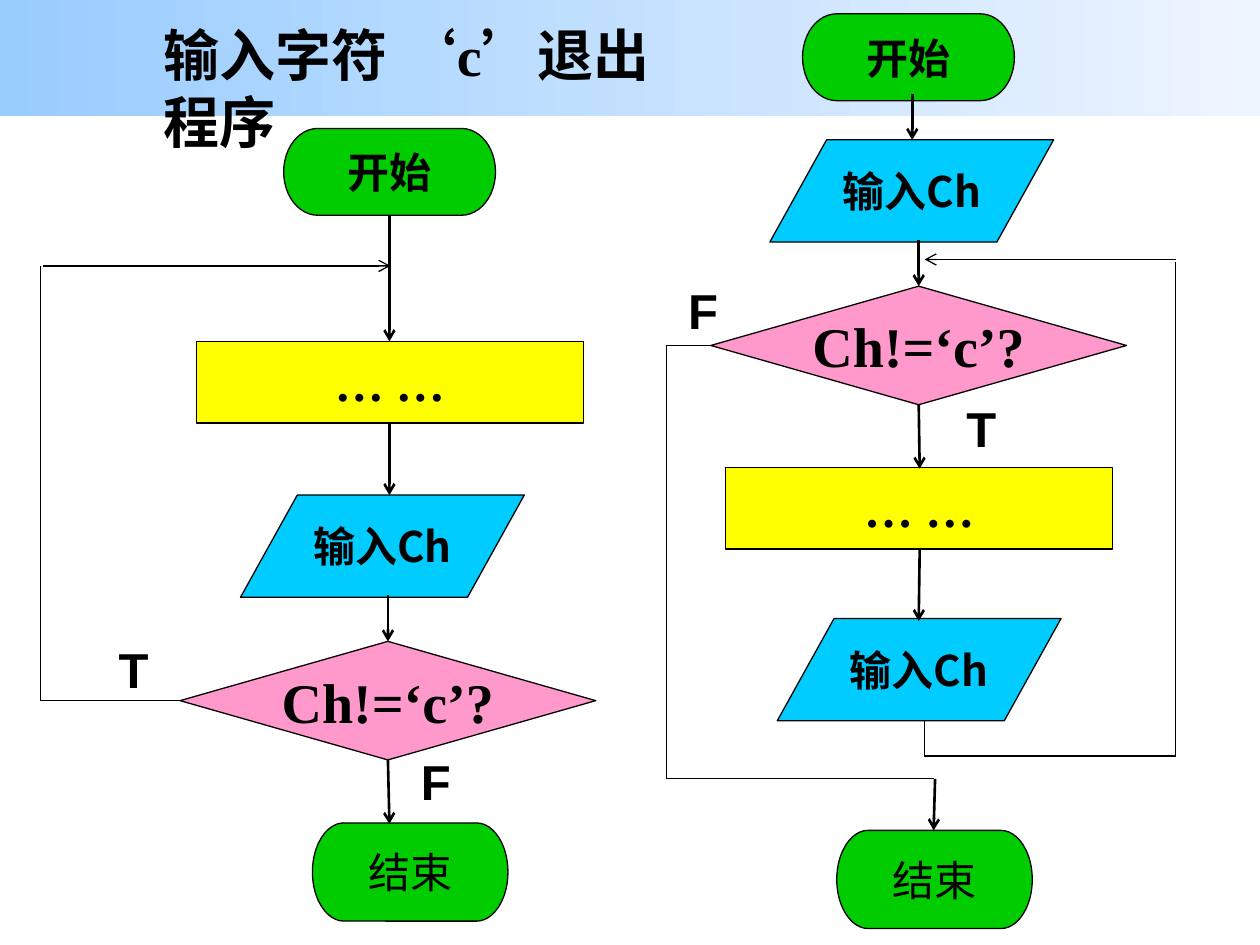
from lxml import etree
from pptx import Presentation
from pptx import util as u
from pptx.dml.color import RGBColor
from pptx.enum import shapes, text
from pptx.oxml.ns import qn

BLACK = RGBColor(0x00, 0x00, 0x00)
GREEN = RGBColor(0x00, 0xCC, 0x00)
CYAN = RGBColor(0x00, 0xCC, 0xFF)
PINK = RGBColor(0xFF, 0x99, 0xCC)
YELLOW = RGBColor(0xFF, 0xFF, 0x00)
BAND_LEFT = RGBColor(0x99, 0xCC, 0xFF)
BAND_RIGHT = RGBColor(0xEE, 0xF5, 0xFF)

CJK = "Noto Sans CJK SC"
SERIF = "Times New Roman"
SHAPE = shapes.MSO_SHAPE

# Node kinds: preset, width, height, fill, wording, font, size, bold
KINDS = {
    "start": (SHAPE.FLOWCHART_TERMINATOR, 4.27, 1.75, GREEN, "开始", CJK, 24, True),
    "input": (SHAPE.FLOWCHART_DATA, 5.72, 2.06, CYAN, "输入Ch", CJK, 24, True),
    "end": (SHAPE.FLOWCHART_TERMINATOR, 3.94, 1.98, GREEN, "结束", CJK, 24, False),
    "test": (SHAPE.FLOWCHART_DECISION, 8.38, 2.39, PINK, "Ch!=‘c’?", SERIF, 32, True),
    "work": (SHAPE.RECTANGLE, 7.8, 1.65, YELLOW, "… …", SERIF, 28, True),
}

# Each flowchart: nodes (kind, left, top), labels (wording, left, top),
# and lines (x1, y1, x2, y2), all in centimetres
FLOWCHARTS = [
    {   # Test after the loop body
        "nodes": [("start", 5.72, 2.59), ("work", 3.96, 6.88), ("input", 4.85, 9.98),
                  ("test", 3.63, 12.93), ("end", 6.3, 16.59)],
        "labels": [("F", 7.82, 14.96), ("T", 1.73, 12.7)],
        "flow arrows": [(7.85, 4.34, 7.85, 6.88), (7.85, 8.53, 7.85, 9.98),
                        (7.82, 11.99, 7.82, 12.93), (7.82, 15.32, 7.85, 16.61)],
        "loop lines": [(3.63, 14.12, 0.81, 14.12), (0.81, 5.36, 0.81, 14.12)],
        "loop arrows": [(0.86, 5.36, 7.87, 5.36)],
    },
    {   # Test before the loop body
        "nodes": [("start", 16.18, 0.28), ("input", 15.52, 2.82), ("test", 14.33, 5.77),
                  ("work", 14.63, 9.42), ("input", 15.67, 12.47), ("end", 16.87, 16.74)],
        "labels": [("F", 13.21, 5.46), ("T", 18.82, 7.85)],
        "flow arrows": [(18.39, 1.9, 18.39, 2.82), (18.52, 4.83, 18.52, 5.77),
                        (18.52, 8.15, 18.54, 9.45), (18.54, 11.07, 18.52, 12.52),
                        (18.85, 15.7, 18.82, 16.74)],
        "loop lines": [(14.33, 6.96, 13.44, 6.96), (13.44, 6.96, 13.44, 15.7),
                       (18.82, 15.7, 13.44, 15.7), (18.64, 14.53, 18.64, 15.27),
                       (23.7, 15.24, 18.64, 15.24), (23.7, 5.28, 23.7, 15.24)],
        "loop arrows": [(23.7, 5.23, 18.64, 5.23)],
    },
]

# Line styles: width in points, arrowhead
LINE_STYLES = {"flow arrows": (1.5, True), "loop lines": (0.75, False),
               "loop arrows": (0.75, True)}


def write(shape, wording, font, size, bold, alignment, frame_format):
    frame = shape.text_frame
    for name, value in frame_format.items():
        setattr(frame, name, value)
    paragraph = frame.paragraphs[0]
    paragraph.alignment = alignment
    run = paragraph.add_run()
    run.text = wording
    for name, value in {"name": font, "size": u.Pt(size), "bold": bold}.items():
        setattr(run.font, name, value)
    run.font.color.rgb = BLACK
    east_asian = etree.SubElement(run.font._element, qn("a:ea"))
    east_asian.set("typeface", CJK)


presentation = Presentation()
presentation.slide_width = u.Cm(25.4)
presentation.slide_height = u.Cm(19.05)
slide = presentation.slides.add_slide(presentation.slide_layouts[5])

# Gradient band across the top
band = slide.shapes.add_shape(SHAPE.RECTANGLE, 0, 0, u.Cm(25.4), u.Cm(2.34))
band.shadow.inherit = False
band.line.fill.background()
band.fill.gradient()
band.fill.gradient_angle = 0
for stop, position, color in zip(band.fill.gradient_stops, (0, 1), (BAND_LEFT, BAND_RIGHT)):
    stop.position = position
    stop.color.rgb = color

# Flowcharts, one group each
NODE_FORMAT = {"word_wrap": False, "vertical_anchor": text.MSO_ANCHOR.MIDDLE}
LABEL_FORMAT = {"word_wrap": True, "vertical_anchor": text.MSO_ANCHOR.MIDDLE,
                "margin_left": u.Cm(0.05), "margin_right": u.Cm(0.05),
                "margin_top": u.Cm(0.2), "margin_bottom": u.Cm(0.03)}
for flowchart in FLOWCHARTS:
    group = slide.shapes.add_group_shape()

    for kind, left, top in flowchart["nodes"]:
        preset, width, height, color, wording, font, size, bold = KINDS[kind]
        node = group.shapes.add_shape(preset, u.Cm(left), u.Cm(top), u.Cm(width), u.Cm(height))
        node.shadow.inherit = False
        node.fill.solid()
        node.fill.fore_color.rgb = color
        node.line.color.rgb = BLACK
        node.line.width = u.Pt(0.75)
        write(node, wording, font, size, bold, text.PP_ALIGN.CENTER, NODE_FORMAT)

    for wording, left, top in flowchart["labels"]:
        label = group.shapes.add_textbox(u.Cm(left), u.Cm(top), u.Cm(1.93), u.Cm(1.4))
        write(label, wording, "Arial", 28, True, text.PP_ALIGN.CENTER, LABEL_FORMAT)

    for style, (width, has_arrow) in LINE_STYLES.items():
        for ends in flowchart[style]:
            connector = group.shapes.add_connector(
                shapes.MSO_CONNECTOR.STRAIGHT, *(u.Cm(end) for end in ends))
            connector.line.color.rgb = BLACK
            connector.line.width = u.Pt(width)
            if has_arrow:
                line = connector.line._get_or_add_ln()
                etree.SubElement(line, qn("a:tailEnd")).set("type", "arrow")
            etree.SubElement(connector._element.spPr, qn("a:effectLst"))

# Title, brought in front of the band
title = slide.shapes.title
for name, value in {"left": 3.05, "top": 0.28, "width": 11.18, "height": 1.63}.items():
    setattr(title, name, u.Cm(value))
write(title, "输入字符 ‘c’退出程序", SERIF, 32, True, text.PP_ALIGN.LEFT,
      {"word_wrap": True, "vertical_anchor": text.MSO_ANCHOR.TOP,
       "auto_size": text.MSO_AUTO_SIZE.NONE})
slide.shapes.element.append(title.element)

presentation.save("out.pptx")
